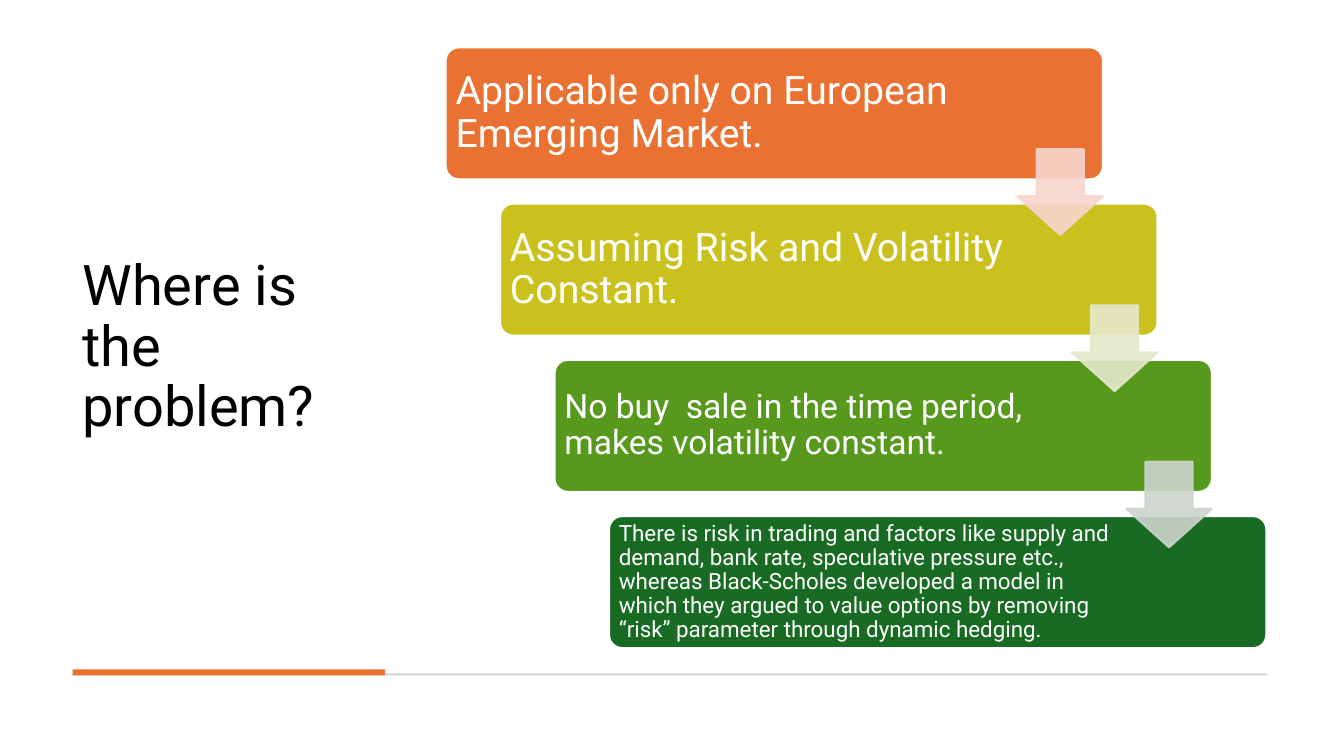
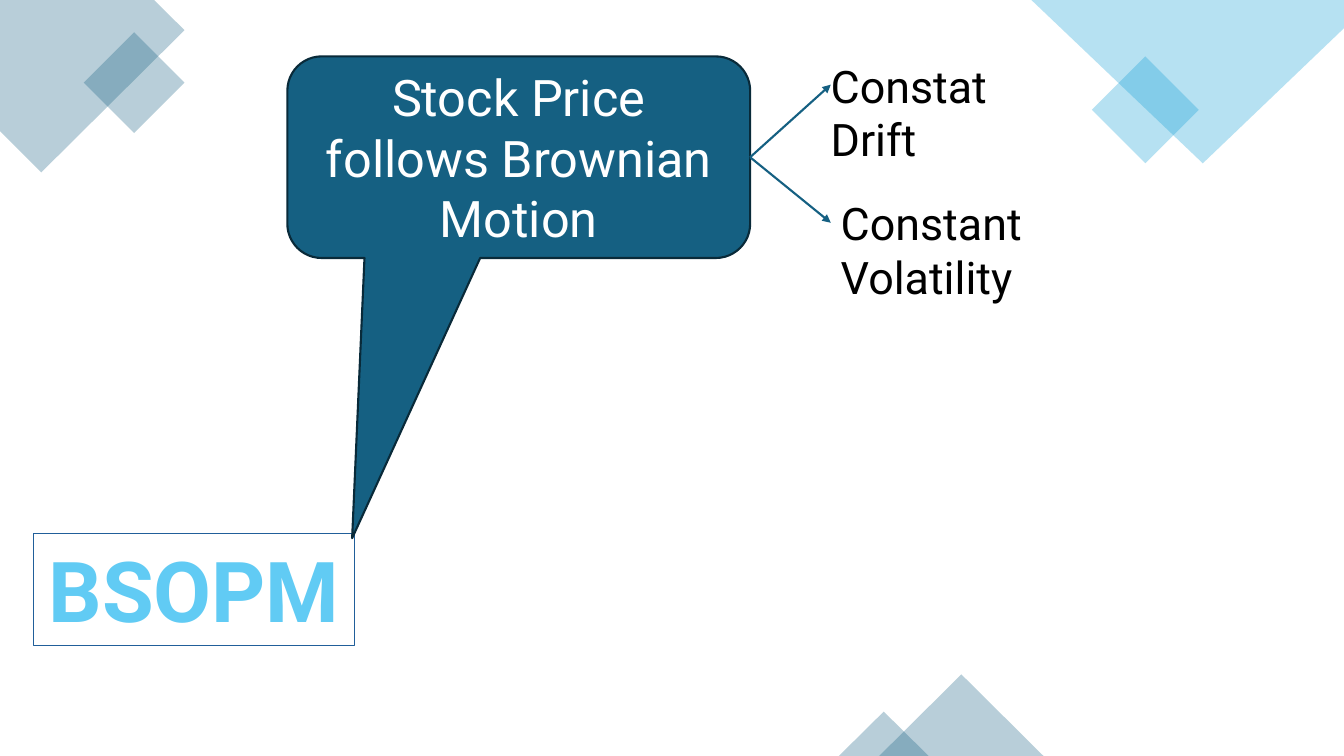
import pptx
import pptx.util
import pptx.dml.color
import pptx.enum.shapes
import pptx.enum.text
import pptx.oxml
import pptx.oxml.ns

Inches, Pt = pptx.util.Inches, pptx.util.Pt
SHAPE = pptx.enum.shapes.MSO_SHAPE
ALIGN = pptx.enum.text.PP_ALIGN
ANCHOR = pptx.enum.text.MSO_ANCHOR
qn = pptx.oxml.ns.qn
NS = pptx.oxml.ns.nsdecls("a")

COLORS = {
    "black": "000000", "white": "FFFFFF", "rule": "D5D5D5",
    "orange": "E97132", "olive": "CBC11E", "green": "56991D", "forest": "196B24",
    "pink": "F7D5CE", "cream": "E5E8CA", "mist": "CCD4CD",
    "teal": "156082", "navy": "092A39", "sky": "0F9ED5",
    "frame": "215F9A", "light": "61CBF4", "outline": "4E95D9",
}
FONT = "Roboto"

# Slide 1: title and staircase of cards (text, size, fill, colour of the arrow below)
TITLE = "Where is the problem?"
CARDS = [
    ("Applicable only on European Emerging Market.", 28, "orange", "pink"),
    ("Assuming Risk and Volatility Constant.", 28, "olive", "cream"),
    ("No buy  sale in the time period, makes volatility constant.", 24, "green", "mist"),
    ("There is risk in trading and factors like supply and demand, bank rate, "
     "speculative pressure etc., whereas Black-Scholes developed a model in which "
     "they argued to value options by removing “risk” parameter through dynamic "
     "hedging.", 16, "forest", None),
]
CARD_LEFT, CARD_TOP, CARD_W, CARD_H = 4.42, 0.47, 6.52, 1.31
STEP_X, STEP_Y = 0.54, 1.55
ARROW_DX, ARROW_DY, ARROW_SIZE = 5.67, 1.01, 0.85
RULES = [((0.72, 6.68, 11.85, 0.02), "rule"), ((0.72, 6.64, 3.1, 0.06), "orange")]

# Slide 2: corner decoration, callout and its two assumptions
CORNERS = [
    ([(0, 0), (1.53, 0), (1.83, 0.3), (0.41, 1.71), (0, 1.3)], "teal"),
    ([(10.23, 0), (13.33, 0), (13.33, 0.28), (11.93, 1.62)], "sky"),
]
ACCENTS = [
    (SHAPE.DIAMOND, (0.83, 0.32, 1, 1), "teal"),
    (SHAPE.DIAMOND, (10.83, 0.56, 1.06, 1.06), "sky"),
    (SHAPE.ISOSCELES_TRIANGLE, (8.72, 6.69, 1.63, 0.81), "teal"),
    (SHAPE.ISOSCELES_TRIANGLE, (8.32, 7.06, 0.89, 0.44), "teal"),
]
MODEL = "BSOPM"
CALLOUT = "Stock Price follows Brownian Motion"
CALLOUT_BOX = (2.85, 0.56, 4.59, 2)
# text, box left and top, arrow tip
ASSUMPTIONS = [
    ("Constat Drift", (8.14, 0.53), (8.24, 0.84)),
    ("Constant Volatility", (8.24, 1.89), (8.24, 2.21)),
]


def rgb(name):
    return pptx.dml.color.RGBColor.from_string(COLORS[name])


def set_alpha(fill, percent):
    clr = fill._xPr.find(qn("a:solidFill"))[0]
    clr.append(pptx.oxml.parse_xml(f'<a:alpha {NS} val="{percent * 1000}"/>'))


def paint(sp, fill, line=None, width=0, alpha=None):
    sp.shadow.inherit = False
    sp.fill.solid()
    sp.fill.fore_color.rgb = rgb(fill)
    if alpha:
        set_alpha(sp.fill, alpha)
    if line:
        sp.line.color.rgb = rgb(line)
        sp.line.width = Pt(width)
    else:
        sp.line.fill.background()
    return sp


def add_shape(s, kind, box, fill, **style):
    return paint(s.shapes.add_shape(kind, *map(Inches, box)), fill, **style)


def write(sp, text, size, color, align=ALIGN.LEFT, anchor=ANCHOR.TOP,
          spacing=None, margins=None, bold=False):
    tf = sp.text_frame
    frame = {"word_wrap": True, "vertical_anchor": anchor}
    for side, value in (margins or {}).items():
        frame[f"margin_{side}"] = Inches(value)
    for name, value in frame.items():
        setattr(tf, name, value)
    p = tf.paragraphs[0]
    p.alignment = align
    if spacing:
        p.line_spacing = spacing
    r = p.add_run()
    r.text = text
    for name, value in {"name": FONT, "size": Pt(size), "bold": bold}.items():
        setattr(r.font, name, value)
    r.font.color.rgb = rgb(color)
    return r


def add_text(s, box, *args, **style):
    return write(s.shapes.add_textbox(*map(Inches, box)), *args, **style)


def add_arrow(s, start, end, color):
    cn = s.shapes.add_connector(pptx.enum.shapes.MSO_CONNECTOR.STRAIGHT,
                                *map(Inches, start + end))
    cn.line.color.rgb = rgb(color)
    cn.line.width = Pt(1.5)
    cn.line._get_or_add_ln().append(
        pptx.oxml.parse_xml(f'<a:tailEnd {NS} type="triangle"/>'))
    cn._element.spPr.append(pptx.oxml.parse_xml(f"<a:effectLst {NS}/>"))


def add_polygon(s, points, fill, alpha):
    pts = [(Inches(x), Inches(y)) for x, y in points]
    builder = s.shapes.build_freeform(*pts[0])
    builder.add_line_segments(pts[1:], close=True)
    paint(builder.convert_to_shape(), fill, alpha=alpha)


def build_problem(s):
    add_text(s, (0.72, 0.47, 3.1, 5.97), TITLE, 40, "black",
             anchor=ANCHOR.MIDDLE, spacing=0.9)
    for box, color in RULES:
        add_shape(s, SHAPE.RECTANGLE, box, color)

    for i, (text, size, fill, arrow) in enumerate(CARDS):
        x, y = CARD_LEFT + i * STEP_X, CARD_TOP + i * STEP_Y
        card = add_shape(s, SHAPE.ROUNDED_RECTANGLE, (x, y, CARD_W, CARD_H), fill,
                         line="white", width=1.5)
        card.adjustments[0] = 0.1
        write(card, text, size, "white", anchor=ANCHOR.MIDDLE, spacing=0.9,
              margins={"left": 0.06, "right": 1.46, "top": 0.02, "bottom": 0.02})
        # The arrow overlaps the next card, so it is placed once that card exists
        if i:
            add_step_arrow(s, i - 1)


def add_step_arrow(s, i):
    color = CARDS[i][3]
    box = (CARD_LEFT + i * STEP_X + ARROW_DX, CARD_TOP + i * STEP_Y + ARROW_DY,
           ARROW_SIZE, ARROW_SIZE)
    sp = add_shape(s, SHAPE.DOWN_ARROW, box, color, line=color, width=1.5, alpha=90)
    set_alpha(sp.line.fill, 90)
    sp.adjustments[0], sp.adjustments[1] = 0.55, 0.45


def build_motion(s):
    # Corner decoration
    for points, color in CORNERS:
        add_polygon(s, points, color, 30)
    for kind, box, color in ACCENTS:
        add_shape(s, kind, box, color, alpha=30)

    # Model name with outlined letters
    sp = add_shape(s, SHAPE.RECTANGLE, (0.33, 5.29, 3.19, 1.11), "white",
                   line="frame", width=0.75)
    r = write(sp, MODEL, 60, "light", align=ALIGN.CENTER, bold=True)
    r.font._element.insert(0, pptx.oxml.parse_xml(
        f'<a:ln {NS} w="{Pt(1.75)}"><a:solidFill>'
        f'<a:srgbClr val="{COLORS["outline"]}"/></a:solidFill></a:ln>'))

    # Callout
    sp = add_shape(s, SHAPE.ROUNDED_RECTANGULAR_CALLOUT, CALLOUT_BOX, "teal",
                   line="navy", width=1.5)
    for i, value in enumerate((-0.36, 1.89, 0.17)):
        sp.adjustments[i] = value
    write(sp, CALLOUT, 36, "white", align=ALIGN.CENTER, anchor=ANCHOR.MIDDLE)

    # Assumptions fan out from the middle of the callout's right edge
    left, top, width, height = CALLOUT_BOX
    for text, corner, tip in ASSUMPTIONS:
        add_arrow(s, (left + width, top + height / 2), tip, "teal")
        add_text(s, corner + (2.1, 1.15), text, 32, "black")


def main():
    prs = pptx.Presentation()
    prs.slide_width, prs.slide_height = Inches(13.33), Inches(7.5)
    for build in (build_problem, build_motion):
        build(prs.slides.add_slide(prs.slide_layouts[6]))
    prs.save("out.pptx")


if __name__ == "__main__":
    main()
